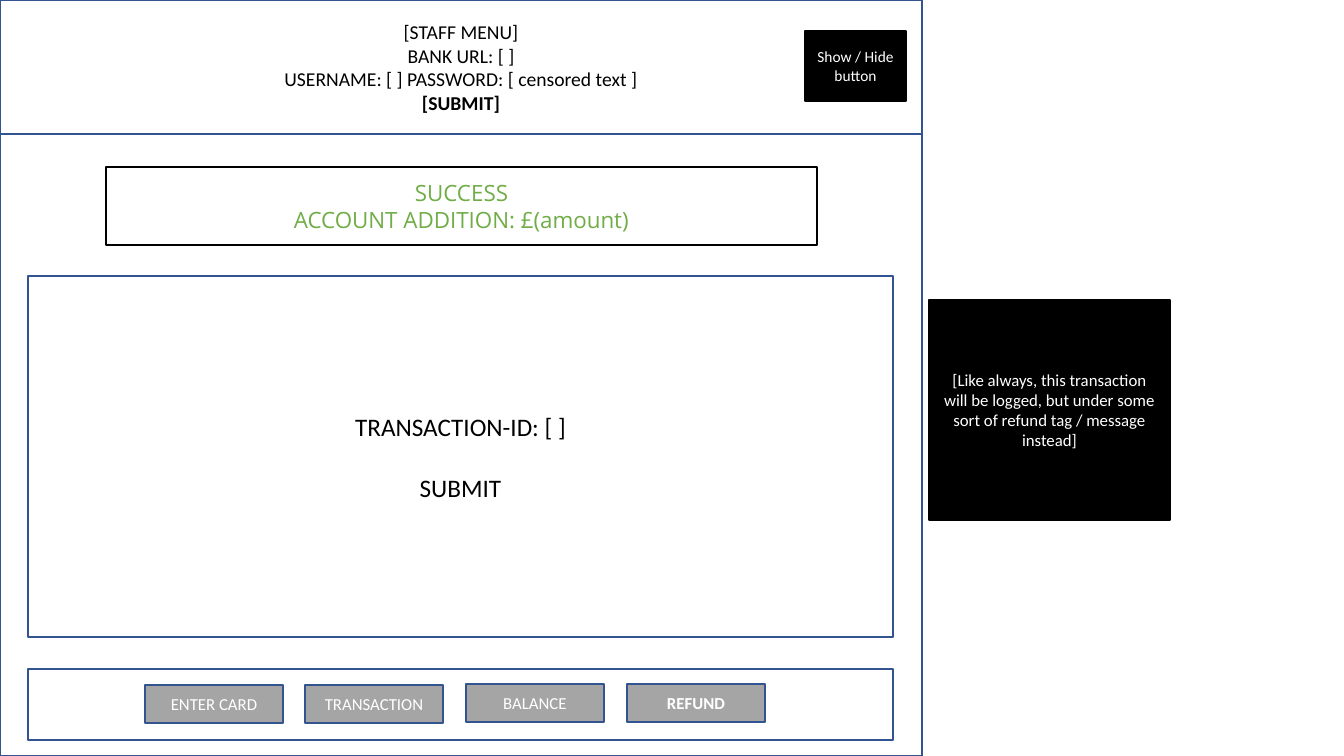
from pptx import Presentation
from pptx import util as u
from pptx.dml.color import RGBColor
from pptx.enum import shapes, text

PX = 914400 / 100.8  # EMU per pixel

BLACK = RGBColor(0x00, 0x00, 0x00)
WHITE = RGBColor(0xFF, 0xFF, 0xFF)
BLUE = RGBColor(0x32, 0x54, 0x91)
GREY = RGBColor(0xA5, 0xA5, 0xA5)
GREEN = RGBColor(0x70, 0xAD, 0x47)

deck = Presentation()
deck.slide_width = round(1344 * PX)
deck.slide_height = round(756 * PX)
page = deck.slides.add_slide(deck.slide_layouts[6])


def add_box(left, top, width, height, fill=WHITE, line=BLUE):
    box = page.shapes.add_shape(
        shapes.MSO_SHAPE.RECTANGLE,
        *[round(length * PX) for length in (left, top, width, height)])
    box.shadow.inherit = False
    box.fill.solid()
    box.fill.fore_color.rgb = fill
    box.line.color.rgb = line
    box.line.width = u.Pt(1)
    return box


def write(box, *lines, size=12, font="Calibri", color=WHITE, bold_line=None, gap=0):
    frame = box.text_frame
    frame.word_wrap = True
    frame.vertical_anchor = text.MSO_ANCHOR.MIDDLE
    for index, line in enumerate(lines):
        para = frame.add_paragraph() if index else frame.paragraphs[0]
        para.alignment = text.PP_ALIGN.CENTER
        if index:
            para.space_before = u.Pt(gap)
        span = para.add_run()
        span.text = line
        span.font.size = u.Pt(size)
        span.font.name = font
        span.font.color.rgb = color
        span.font.bold = line == bold_line


# Staff menu header
header = add_box(0, 0, 922, 134)
write(header, "[STAFF MENU]", "BANK URL: [ ]",
      "USERNAME: [ ] PASSWORD: [ censored text ]", "[SUBMIT]",
      size=14, color=BLACK, bold_line="[SUBMIT]")

# Window body and navigation bar
add_box(0, 134, 922, 622)
add_box(28, 669, 865, 71)

# Show / hide button
toggle = add_box(805, 31, 101, 70, fill=BLACK, line=BLACK)
write(toggle, "Show / Hide button", size=11)

# Transaction form
form = add_box(28, 276, 865, 361)
write(form, "TRANSACTION-ID: [ ]", "SUBMIT", size=18, color=BLACK, gap=22)

# Success message
message = add_box(106, 167, 711, 78, line=BLACK)
write(message, "SUCCESS", "ACCOUNT ADDITION: £(amount)",
      size=16, font="Open Sans", color=GREEN)

# Side note
note = add_box(929, 300, 241, 220, fill=BLACK, line=BLACK)
write(note, "[Like always, this transaction will be logged, but under some "
            "sort of refund tag / message instead]")

# Navigation buttons, the last one active
buttons = [("ENTER CARD", 685), ("TRANSACTION", 685), ("BALANCE", 684), ("REFUND", 684)]
for index, (label, top) in enumerate(buttons):
    button = add_box(145 + index * 482 // 3, top, 138, 38, fill=GREY)
    write(button, label, bold_line="REFUND")

deck.save("out.pptx")
